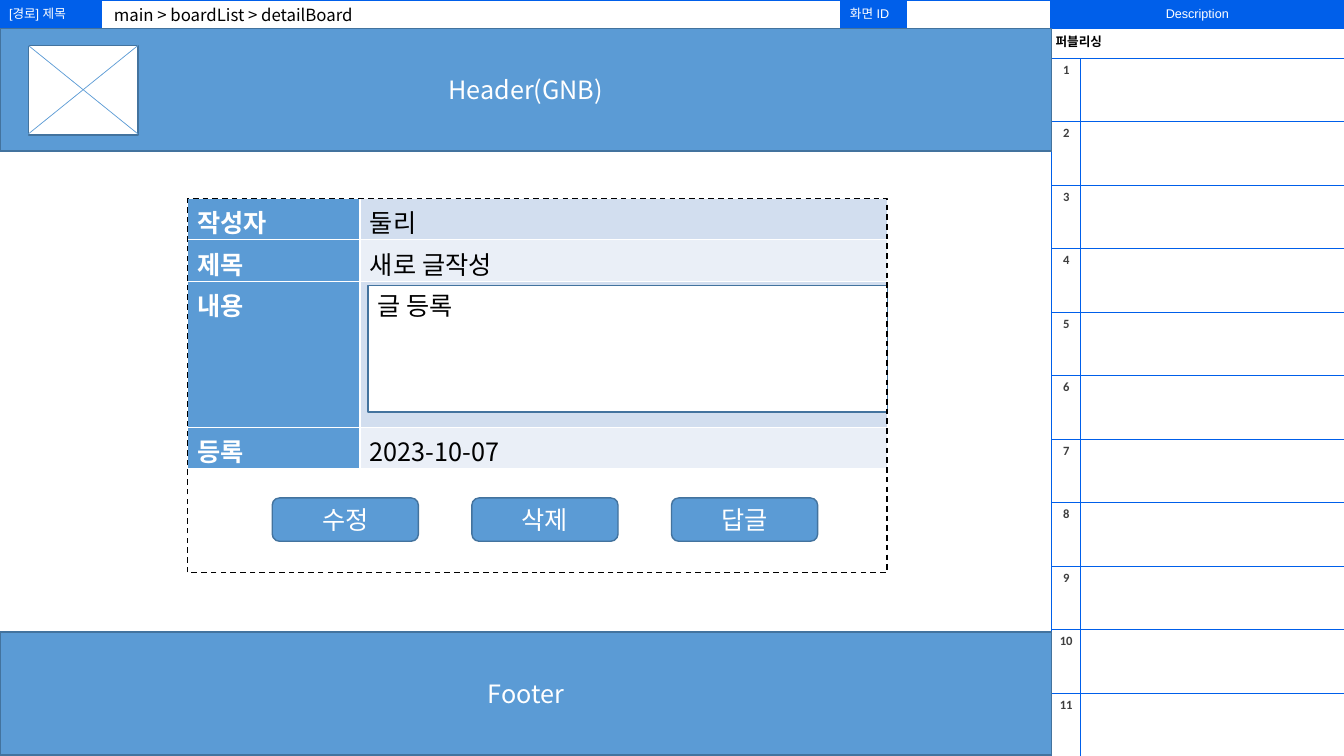
from lxml import etree
from pptx import Presentation
from pptx.dml.color import RGBColor
from pptx.enum import dml, shapes, text
from pptx.oxml import ns
from pptx.util import Inches, Pt

HEX = {"royal": "005FEA", "blue": "5B9BD5", "edge": "43739E", "band": "D2DEEF",
       "pale": "EAEFF7", "white": "FFFFFF", "black": "000000", "gray": "3F3F3F"}
INK = {name: RGBColor.from_string(code) for name, code in HEX.items()}
SANS = "Noto Sans CJK KR"
LEFT, MID = text.PP_ALIGN.LEFT, text.PP_ALIGN.CENTER
TOP, CENTER = text.MSO_ANCHOR.TOP, text.MSO_ANCHOR.MIDDLE


def write(frame, words, size=18, font=SANS, ink="white", bold=False, align=LEFT):
    para = frame.paragraphs[0]
    para.alignment = align
    run = para.add_run()
    run.text = words
    run.font.size = Pt(size)
    run.font.name = font
    run.font.bold = bold
    run.font.color.rgb = INK[ink]
    east = etree.SubElement(run.font._element, ns.qn("a:ea"))
    east.set("typeface", font)


def grid(x, y, cols, rows, ink, width, pad, anchor=TOP):
    """Add an unfilled table with even borders; pad is left, top, right, bottom."""
    table = slide.shapes.add_table(len(rows), len(cols), Inches(x), Inches(y),
                                   Inches(sum(cols)), Inches(sum(rows))).table
    table.first_row = table.horz_banding = False
    for col, size in zip(table.columns, cols):
        col.width = Inches(size)
    for row, size in zip(table.rows, rows):
        row.height = Inches(size)
    for cell in table.iter_cells():
        cell.margin_left, cell.margin_top, cell.margin_right, cell.margin_bottom = map(Inches, pad)
        cell.vertical_anchor = anchor
        # Keep empty cells from stretching their row
        end = etree.SubElement(cell.text_frame.paragraphs[0]._p, ns.qn("a:endParaRPr"))
        end.set("sz", "900")
        props = cell._tc.get_or_add_tcPr()
        for side in ("lnL", "lnR", "lnT", "lnB"):
            line = etree.SubElement(props, ns.qn("a:" + side), w=str(Pt(width)))
            fill = etree.SubElement(line, ns.qn("a:solidFill"))
            etree.SubElement(fill, ns.qn("a:srgbClr"), val=HEX[ink])
        cell.fill.background()
    return table


deck = Presentation()
deck.slide_width, deck.slide_height = Inches(13.33), Inches(7.5)
slide = deck.slides.add_slide(deck.slide_layouts[6])

# Title bar
bar = grid(0, 0, [1.01, 7.33, 0.65, 1.43, 2.91], [0.28], "royal", 1,
           (0.09, 0.04, 0.09, 0.04), CENTER)
for col, words, align in ((0, "[경로] 제목", LEFT), (2, "화면 ID", LEFT), (4, "Description", MID)):
    cell = bar.cell(0, col)
    cell.fill.solid()
    cell.fill.fore_color.rgb = INK["royal"]
    write(cell.text_frame, words, size=9, font="Arial", align=align)

# Route
route = slide.shapes.add_textbox(Inches(1.03), Inches(0), Inches(2.62), Inches(0.3)).text_frame
route.word_wrap = False
write(route, "main > boardList > detailBoard", size=12, ink="black")

# Description list
notes = grid(10.43, 0.28, [0.29, 2.61], [0.3] + [0.63] * 11, "royal", 0.75, (0.04,) * 4)
notes.cell(0, 0).merge(notes.cell(0, 1))
write(notes.cell(0, 0).text_frame, "퍼블리싱", size=9, ink="black", bold=True)
for num in range(1, 12):
    write(notes.cell(num, 0).text_frame, str(num), size=9, font="Calibri",
          ink="gray", bold=True, align=MID)

# Post details
post = grid(1.86, 1.97, [1.71, 5.23], [0.41, 0.41, 1.45, 0.41], "white", 1, (0.1, 0.05, 0.1, 0))
fields = [("작성자", "둘리"), ("제목", "새로 글작성"), ("내용", ""), ("등록", "2023-10-07")]
for row, (label, value) in enumerate(fields):
    shade = ("band", "pale")[row % 2]
    for col, (words, fill, ink) in enumerate(((label, "blue", "white"), (value, shade, "black"))):
        cell = post.cell(row, col)
        cell.fill.solid()
        cell.fill.fore_color.rgb = INK[fill]
        if words:
            write(cell.text_frame, words, ink=ink, bold=col == 0)

# Page areas, logo box, content box, outline and buttons
RECT, ROUND = shapes.MSO_SHAPE.RECTANGLE, shapes.MSO_SHAPE.ROUNDED_RECTANGLE
boxes = [(RECT, 0, 0.28, 10.43, 1.22, "blue", "Header(GNB)"),
         (RECT, 0, 6.27, 10.43, 1.22, "blue", "Footer"),
         (RECT, 0.28, 0.45, 1.09, 0.89, "white", ""),
         (RECT, 3.65, 2.83, 5.15, 1.26, "white", "글 등록"),
         (RECT, 1.86, 1.97, 6.94, 3.71, None, "")]
boxes += [(ROUND, 2.7 + 1.98 * i, 4.94, 1.45, 0.43, "blue", words)
          for i, words in enumerate(("수정", "삭제", "답글"))]
for kind, x, y, w, h, fill, words in boxes:
    box = slide.shapes.add_shape(kind, Inches(x), Inches(y), Inches(w), Inches(h))
    box.shadow.inherit = False
    box.line.width = Pt(1)
    box.line.color.rgb = INK["edge" if fill else "black"]
    if fill:
        box.fill.solid()
        box.fill.fore_color.rgb = INK[fill]
    else:
        box.fill.background()
        box.line.dash_style = dml.MSO_LINE.DASH
    if words:
        solid = fill == "blue"
        box.text_frame.vertical_anchor = CENTER if solid else TOP
        write(box.text_frame, words, ink="white" if solid else "black",
              align=MID if solid else LEFT)

# Cross in the logo box
for start, stop in ((0.45, 1.33), (1.33, 0.45)):
    line = slide.shapes.add_connector(shapes.MSO_CONNECTOR.STRAIGHT, Inches(0.28),
                                      Inches(start), Inches(1.37), Inches(stop))
    line.line.color.rgb = INK["blue"]
    line.line.width = Pt(0.5)
    etree.SubElement(line._element.spPr, ns.qn("a:effectLst"))

deck.save("out.pptx")
